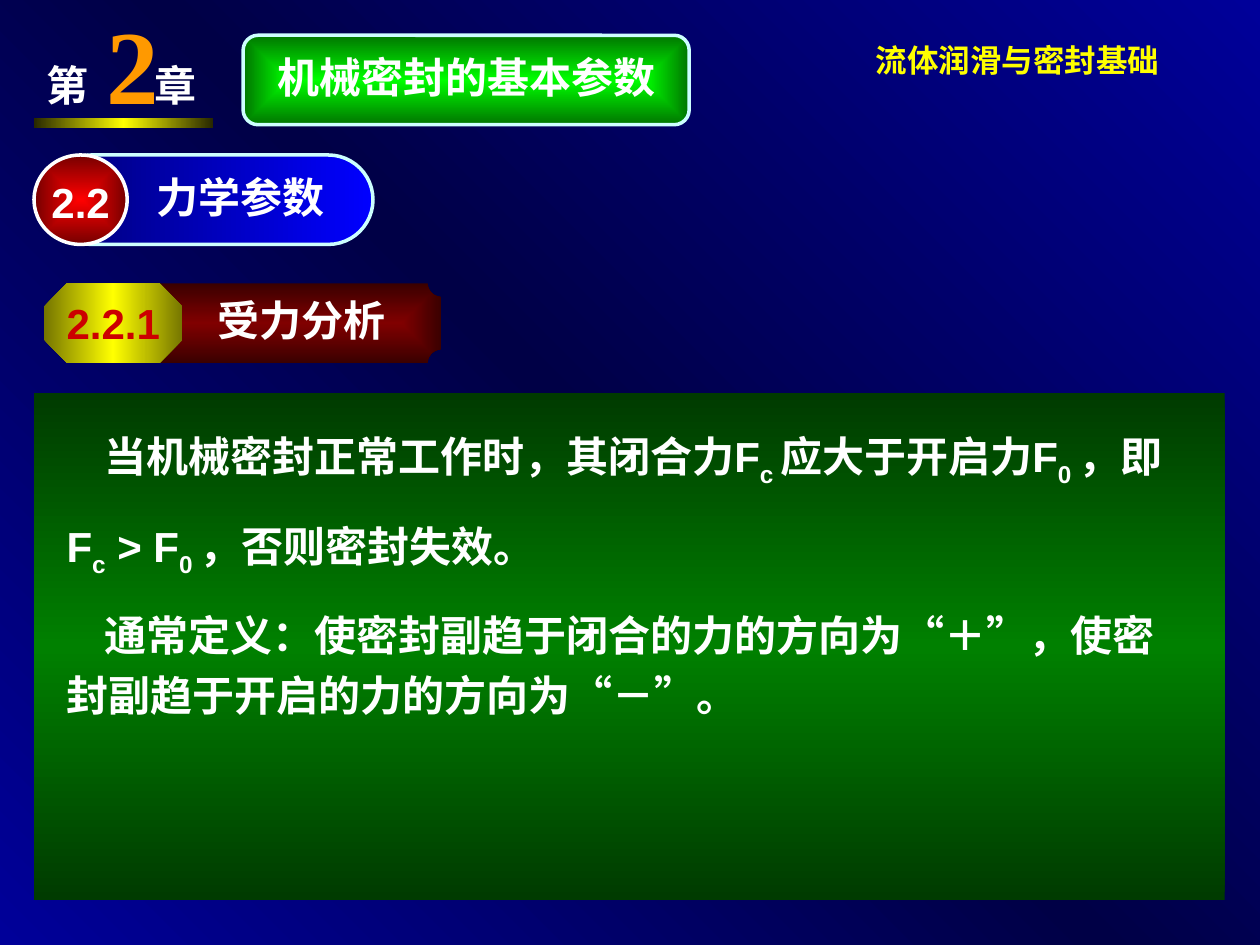
from dataclasses import dataclass

from lxml import etree
from pptx import Presentation
from pptx.dml.color import RGBColor
from pptx.enum import shapes as kinds, text as modes
from pptx.oxml import ns
from pptx.util import Inches, Pt


@dataclass(frozen=True)
class Theme:
    white: str = "FFFFFF"
    outline: str = "CCFFFF"
    orange: str = "FF9900"
    red: str = "CC0000"
    background: tuple = ("000099", "000046", "000099")
    gold_text: tuple = ("FF9900", "FFFF00", "FF9900")
    gold_bar: tuple = ("282800", "FFFF00", "282800")
    gold_badge: tuple = ("757500", "FFFF00", "757500")
    blue: tuple = ("0000FF", "000075")
    bright_red: tuple = ("FF0000", "750000")
    dark_red: tuple = ("800000", "3B0000")
    bright_green: tuple = ("00FF00", "007500")
    dark_green: tuple = ("003B00", "008000", "003B00")
    sans: str = "Arial"
    serif: str = "Times New Roman"
    chinese: str = "Noto Sans CJK SC"
    small: int = 18
    normal: int = 24
    huge: int = 60


THEME = Theme()
SHAPE = kinds.MSO_SHAPE


def set_gradient(fill, parent, colors, angle=None):
    """Fill with evenly spaced stops: linear at an angle, or from the centre."""
    fill.solid()
    gradient = etree.Element(ns.qn("a:gradFill"), rotWithShape="1")
    stops = etree.SubElement(gradient, ns.qn("a:gsLst"))
    for index, color in enumerate(colors):
        position = 100000 * index // (len(colors) - 1)
        stop = etree.SubElement(stops, ns.qn("a:gs"), pos=str(position))
        etree.SubElement(stop, ns.qn("a:srgbClr"), val=color)
    if angle is None:
        route = etree.SubElement(gradient, ns.qn("a:path"), path="rect")
        centre = dict.fromkeys("ltrb", "50000")
        etree.SubElement(route, ns.qn("a:fillToRect"), centre)
    else:
        etree.SubElement(gradient, ns.qn("a:lin"), ang=str(angle * 60000), scaled="0")
    parent.replace(parent.find(ns.qn("a:solidFill")), gradient)


def add_panel(shapes, kind, box, colors, angle=None, line=None, adjustment=None):
    shape = shapes.add_shape(kind, *map(Inches, box))
    shape.shadow.inherit = False
    if adjustment is not None:
        shape.adjustments[0] = adjustment
    set_gradient(shape.fill, shape._element.spPr, colors, angle)
    if line:
        shape.line.color.rgb = RGBColor.from_string(line)
        shape.line.width = Pt(2)
    else:
        shape.line.fill.background()
    return shape


def style(paragraph, color=THEME.white, size=THEME.normal, name=THEME.sans):
    font = paragraph.font
    font.size, font.name, font.bold = Pt(size), name, True
    font.color.rgb = RGBColor.from_string(color)


def add_label(shapes, box, text, wrap=True, centred=False, inset=0.05, **font):
    frame = shapes.add_textbox(*map(Inches, box)).text_frame
    frame.word_wrap = wrap
    frame.margin_top = frame.margin_bottom = Inches(inset)
    paragraph = frame.paragraphs[0]
    paragraph.text = text
    if centred:
        paragraph.alignment = modes.PP_ALIGN.CENTER
    style(paragraph, **font)
    return paragraph


def write_inside(shape, text, color=THEME.white, left=0.1):
    frame = shape.text_frame
    frame.word_wrap = False
    frame.vertical_anchor = modes.MSO_ANCHOR.MIDDLE
    frame.margin_left = Inches(left)
    paragraph = frame.paragraphs[0]
    paragraph.text = text
    paragraph.alignment = modes.PP_ALIGN.CENTER
    style(paragraph, color)
    return paragraph


def add_course_name(shapes, box):
    paragraph = add_label(shapes, box, "流体润滑与密封基础", wrap=False,
                          size=THEME.small, name=THEME.chinese)
    run = paragraph.runs[0]
    set_gradient(run.font.fill, run._r.get_or_add_rPr(), THEME.gold_text, 180)


def add_chapter_number(shapes, box):
    left, top, width, height = box
    group = shapes.add_group_shape().shapes
    paragraph = add_label(group, (left, top + 0.42, width, 0.5), "")
    tabs = etree.SubElement(paragraph._p.get_or_add_pPr(), ns.qn("a:tabLst"))
    etree.SubElement(tabs, ns.qn("a:tab"), pos=str(Inches(0.86)), algn="l")
    paragraph._p.get_or_add_pPr().remove(paragraph._p.pPr.find(ns.qn("a:defRPr")))
    paragraph.text = "第\t章"
    style(paragraph, name=THEME.serif)
    add_label(group, (left + 0.48, top, 0.92, 1), "2", inset=0,
              color=THEME.orange, size=THEME.huge, name=THEME.serif)
    add_panel(group, SHAPE.RECTANGLE, (left, top + height - 0.08, 1.42, 0.08),
              THEME.gold_bar, 180)


def add_chapter_title(shapes, box):
    left, top, width, height = box
    group = shapes.add_group_shape().shapes
    add_panel(group, SHAPE.ROUNDED_RECTANGLE, box, THEME.bright_green, line=THEME.outline)
    add_label(group, (left + 0.08, top + 0.08, width - 0.15, 0.5),
              "机械密封的基本参数", centred=True)


def add_section(shapes, box):
    left, top, width, height = box
    add_panel(shapes, SHAPE.ROUNDED_RECTANGLE, (left + 0.1, top, width - 0.1, height),
              THEME.blue, 180, THEME.outline, 0.5)
    add_panel(shapes, SHAPE.OVAL, (left, top, 0.74, height),
              THEME.bright_red, line=THEME.white)
    add_label(shapes, (left + 0.04, top + 0.12, 0.71, 0.5), "2.2")
    add_label(shapes, (left + 0.87, top + 0.08, 1.58, 0.5), "力学参数")


def add_subsection(shapes, box):
    left, top, width, height = box
    plaque = add_panel(shapes, SHAPE.PLAQUE, (left + 0.79, top, width - 0.79, height),
                       THEME.dark_red)
    write_inside(plaque, "受力分析", left=0.25).line_spacing = 0.9
    badge = add_panel(shapes, SHAPE.OCTAGON, (left, top, 1.1, height),
                      THEME.gold_badge, 180, adjustment=0.29)
    write_inside(badge, "2.2.1", THEME.red)


def add_explanation(shapes, box):
    left, top, width, height = box
    add_panel(shapes, SHAPE.RECTANGLE, box, THEME.dark_green, 90)
    frame = shapes.add_textbox(*map(Inches, (left + 0.16, top + 0.16,
                                             width - 0.31, height - 0.41))).text_frame
    frame.word_wrap = True
    # Every second piece of a paragraph is a subscript
    paragraphs = (
        (0.3, ("当机械密封正常工作时，其闭合力F", "c ", "应大于开启力F", "0 ", "，即")),
        (0, ("F", "c", " > F", "0 ", "，否则密封失效。")),
        (0.3, ("通常定义：使密封副趋于闭合的力的方向为“＋”，使密封副趋于开启的力的方向为“－”。",)),
    )
    for number, (indent, pieces) in enumerate(paragraphs):
        paragraph = frame.add_paragraph() if number else frame.paragraphs[0]
        paragraph.line_spacing = 1.2
        if number:
            paragraph.space_before = Pt(12)
        paragraph._p.get_or_add_pPr().set("indent", str(Inches(indent)))
        style(paragraph)
        for index, piece in enumerate(pieces):
            run = paragraph.add_run()
            run.text = piece
            if index % 2:
                run._r.get_or_add_rPr().set("baseline", "-25000")


def main():
    presentation = Presentation()
    presentation.slide_width, presentation.slide_height = Inches(10), Inches(7.5)
    slide = presentation.slides.add_slide(presentation.slide_layouts[6])
    fill = slide.background.fill
    fill.solid()
    set_gradient(fill, slide.element.xpath(".//p:bgPr")[0], THEME.background, 135)

    # Header
    add_course_name(slide.shapes, (6.85, 0.28, 2.45, 0.71))
    add_chapter_number(slide.shapes, (0.27, 0, 1.75, 1.02))
    # Section and subsection headings
    add_section(slide.shapes, (0.27, 1.23, 2.69, 0.71))
    add_subsection(slide.shapes, (0.35, 2.25, 3.15, 0.63))
    add_chapter_title(slide.shapes, (1.93, 0.28, 3.54, 0.71))
    # Body
    add_explanation(slide.shapes, (0.27, 3.12, 9.45, 4.02))
    presentation.save("out.pptx")


if __name__ == "__main__":
    main()
